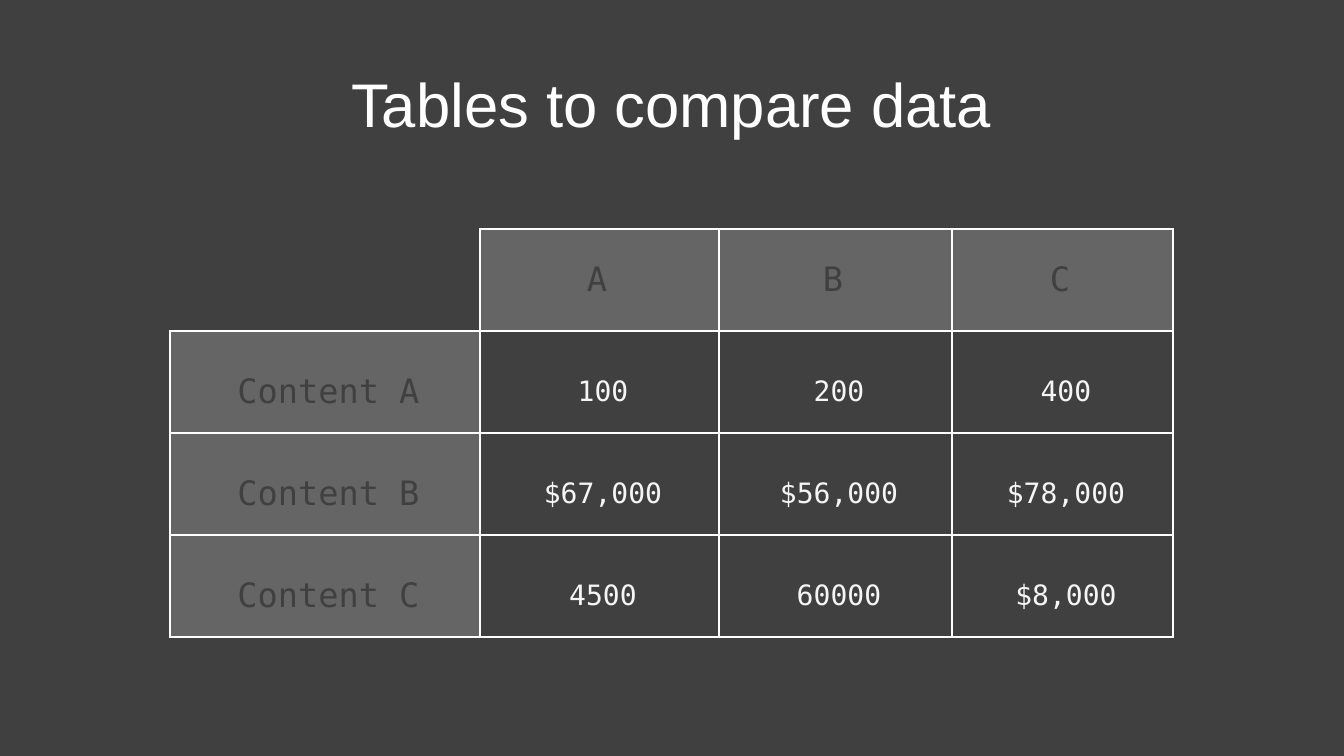
from pptx import Presentation
from pptx.dml.color import RGBColor
from pptx.enum.text import MSO_ANCHOR as Anchor, MSO_AUTO_SIZE as AutoSize, PP_ALIGN as Align
from pptx.oxml.ns import qn
from pptx.util import Emu, Pt
from lxml.etree import Element, SubElement

SCALE = 914400 / 100.8
COLORS = {"page": "404040", "title": "FFFFFF", "border": "FFFFFF",
          "shade": "FCFCFC", "label": "404040", "value": "F5F5F5"}
TITLE_BOX = (60, 60, 1223, 85)
TABLE_BOX = (170, 229, 1003, 408)
COLUMN_WIDTHS = (310, 239, 233, 221)
ROWS = (("", "A", "B", "C"),
        ("Content A", "100", "200", "400"),
        ("Content B", "$67,000", "$56,000", "$78,000"),
        ("Content C", "4500", "60000", "$8,000"))
SIDES = ("lnL", "lnR", "lnT", "lnB")
MARGINS = ("margin_left", "margin_top", "margin_right", "margin_bottom")
LABEL = {"size": Pt(24), "name": "DejaVu Sans Mono"}
VALUE = {"size": Pt(20), "name": "DejaVu Sans Mono"}
HEADING = {"size": Pt(44), "name": "Arial"}


def px(length):
    """Turn a length in px into EMU."""
    return Emu(round(length * SCALE))


def apply(target, values):
    """Set each named attribute of the target."""
    for name, value in values.items():
        setattr(target, name, value)


def write(frame, text, font, color):
    """Put one centred, formatted paragraph into a text frame."""
    para = frame.paragraphs[0]
    para.alignment = Align.CENTER
    span = para.add_run()
    span.text = text
    apply(span.font, font)
    span.font.color.rgb = RGBColor.from_string(COLORS[color])


def add_borders(cell, visible):
    """Draw the visible sides of a cell and clear the others."""
    properties = cell._tc.get_or_add_tcPr()
    for index, side in enumerate(SIDES):
        line = Element(qn(f"a:{side}"), w=str(Pt(1.5)))
        if side in visible:
            fill = SubElement(line, qn("a:solidFill"))
            SubElement(fill, qn("a:srgbClr"), val=COLORS["border"])
        else:
            SubElement(line, qn("a:noFill"))
        properties.insert(index, line)


def shade(cell):
    """Give a label cell its translucent fill."""
    cell.fill.solid()
    cell.fill.fore_color.rgb = RGBColor.from_string(COLORS["shade"])
    color = cell._tc.tcPr.find(f"{qn('a:solidFill')}/{qn('a:srgbClr')}")
    SubElement(color, qn("a:alpha"), val="20000")


def fill_cell(cell, text, row, column):
    """Format one cell according to its place in the table."""
    is_label = row == 0 or column == 0
    if is_label and text:
        shade(cell)
    else:
        cell.fill.background()
    add_borders(cell, SIDES if text else ("lnR", "lnB"))
    margins = (12, 22, 5, 2) if row else (0, 31, 5, 0)
    apply(cell, dict(zip(MARGINS, map(px, margins))))
    cell.vertical_anchor = Anchor.MIDDLE if row else Anchor.TOP
    if text:
        write(cell.text_frame, text, *((LABEL, "label") if is_label else (VALUE, "value")))


def add_title(page, box):
    """Place the slide title in its box."""
    title = page.shapes.title
    apply(title, dict(zip(("left", "top", "width", "height"), map(px, box))))
    apply(title.text_frame, {"word_wrap": True, "vertical_anchor": Anchor.MIDDLE,
                             "auto_size": AutoSize.SHAPE_TO_FIT_TEXT})
    write(title.text_frame, "Tables to compare data", HEADING, "title")


def add_comparison(page, box):
    """Place the comparison table in its box."""
    table = page.shapes.add_table(len(ROWS), len(COLUMN_WIDTHS), *map(px, box)).table
    apply(table, {"first_row": False, "horz_banding": False})
    for column, width in zip(table.columns, COLUMN_WIDTHS):
        column.width = px(width)
    for row, texts in enumerate(ROWS):
        table.rows[row].height = px(box[3] / len(ROWS))
        for column, text in enumerate(texts):
            fill_cell(table.cell(row, column), text, row, column)


def main():
    """Build the slide and save the deck."""
    deck = Presentation()
    apply(deck, {"slide_width": px(1344), "slide_height": px(756)})
    page = deck.slides.add_slide(deck.slide_layouts[5])
    page.background.fill.solid()
    page.background.fill.fore_color.rgb = RGBColor.from_string(COLORS["page"])
    add_comparison(page, TABLE_BOX)
    add_title(page, TITLE_BOX)
    deck.save("out.pptx")


if __name__ == "__main__":
    main()
